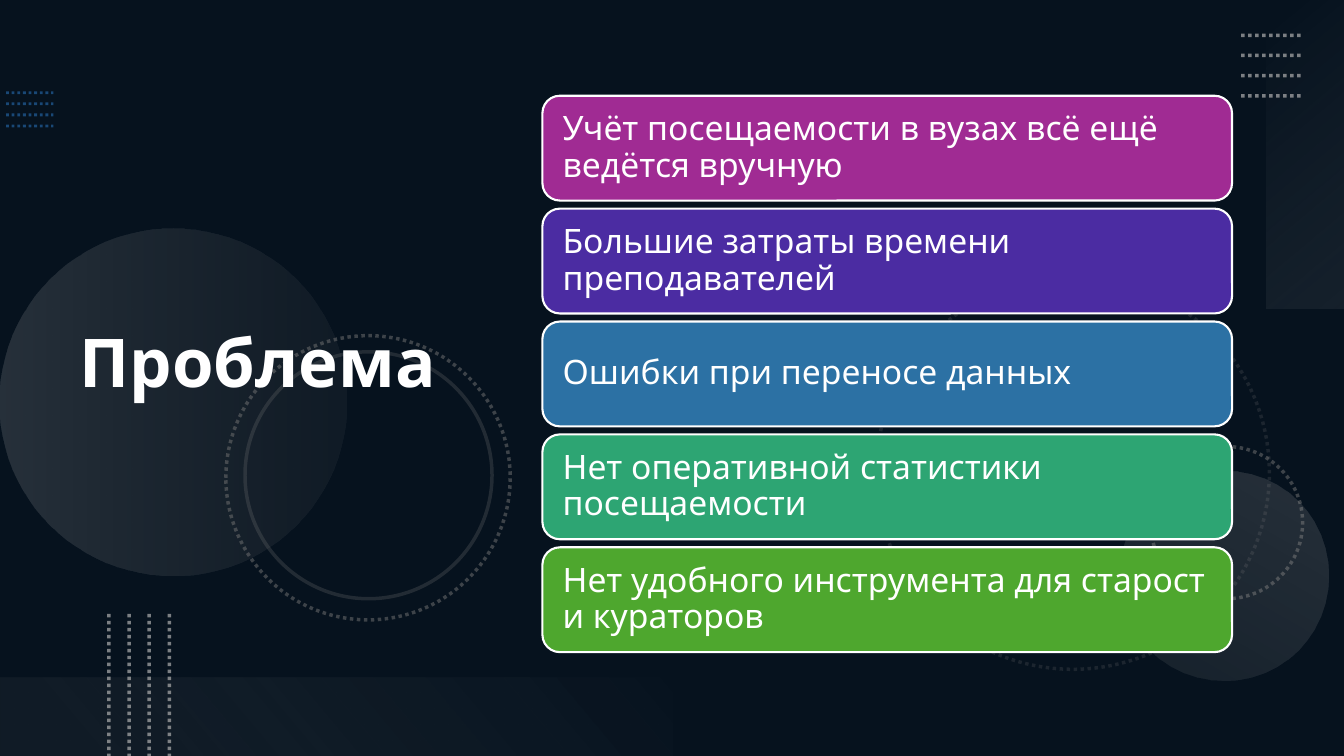
from lxml import etree
from pptx import Presentation
from pptx.dml.color import RGBColor
from pptx.enum.dml import MSO_LINE
from pptx.enum.shapes import MSO_CONNECTOR, MSO_SHAPE
from pptx.enum.text import MSO_ANCHOR, PP_ALIGN
from pptx.oxml.ns import qn
from pptx.util import Inches, Pt

# Content
FONT = "Noto Sans"
WHITE, GREY, SILVER, BLUE = "FFFFFF", "747474", "AEAEAE", "2D7FCF"
BACKDROP, VEIL, VEIL_OPACITY = "0E2841", "000000", 53
TITLE = "Проблема"
PROBLEMS = [
    ("Учёт посещаемости в вузах всё ещё ведётся вручную", "A02B93"),
    ("Большие затраты времени преподавателей", "4B2CA2"),
    ("Ошибки при переносе данных", "2C71A4"),
    ("Нет оперативной статистики посещаемости", "2DA573"),
    ("Нет удобного инструмента для старост и кураторов", "4EA72E"),
]

# Layout, in inches
WIDTH, HEIGHT = 13.33, 7.5
TITLE_BOX = (0.69, 0.54, 4.59, 6.17)
CARD_LEFT, CARD_TOP, CARD_WIDTH, CARD_HEIGHT, CARD_PITCH = 5.38, 0.95, 6.84, 1.04, 1.12

# Dotted rows: first start, first end, step, colour, width, opacity
DOT_ROWS = {
    "left": ((0.06, 0.92), (0.53, 0.92), (0, 0.11), BLUE, 2, 50),
    "right": ((12.31, 0.35), (12.91, 0.35), (0, 0.2), SILVER, 2.5, 70),
    "bottom": ((1.08, 6.09), (1.08, 7.5), (0.2, 0), SILVER, 2.5, 70),
}
DOT_ROW_COUNT = 4

# Rings: left, top, diameter, dotted, opacity
RINGS = [
    (8.69, 2.74, 3.9, True, 20),
    (11.41, 4.43, 1.51, True, 50),
    (2.24, 3.33, 2.82, True, 50),
    (2.43, 3.49, 2.45, False, 25),
]

# Glows: form, box, rotation, angle, stops of (position, colour, opacity)
DISC, BAND = MSO_SHAPE.OVAL, MSO_SHAPE.RECTANGLE
DISCS = [
    (DISC, (0, 2.27, 3.44, 3.44), 270, 90, [(0, SILVER, 20), (1, GREY, 10)]),
    (DISC, (11.1, 4.67, 2.08, 2.08), 210, 90, [(0, SILVER, 10), (1, SILVER, 20)]),
]
BANDS = [
    (BAND, (11.42, 1.14, 3.06, 0.78), 270, 140, [(0, "F6F6F6", 0), (1, SILVER, 10)]),
    (BAND, (0, 6.72, 6.67, 0.78), 180, 140, [(0.1, GREY, 10), (1, "F1F1F1", 0)]),
]


def rgb(value):
    return RGBColor.from_string(value)


def set_opacity(part, *percents):
    """Give the part's colours, in order, their opacity."""
    for colour, percent in zip(part._element.spPr.iter(qn("a:srgbClr")), percents):
        etree.SubElement(colour, qn("a:alpha")).set("val", str(percent * 1000))


def add_form(slide, form, box):
    shape = slide.shapes.add_shape(form, *map(Inches, box))
    shape.shadow.inherit = False
    return shape


def add_glow(slide, form, box, rotation, angle, stops):
    glow = add_form(slide, form, box)
    glow.rotation = rotation
    glow.line.fill.background()
    glow.fill.gradient()
    glow.fill.gradient_angle = 360 - angle
    for stop, (position, colour, _) in zip(glow.fill.gradient_stops, stops):
        stop.position = position
        stop.color.rgb = rgb(colour)
    set_opacity(glow, *(opacity for _, _, opacity in stops))


def set_stroke(part, colour, width, dotted, opacity):
    part.line.color.rgb = rgb(colour)
    part.line.width = Pt(width)
    if dotted:
        part.line.dash_style = MSO_LINE.ROUND_DOT
    set_opacity(part, opacity)


def add_ring(slide, left, top, diameter, dotted, opacity):
    ring = add_form(slide, MSO_SHAPE.OVAL, (left, top, diameter, diameter))
    ring.fill.background()
    set_stroke(ring, GREY, 2.5, dotted, opacity)


def add_dot_rows(slide, start, end, step, colour, width, opacity):
    for row in range(DOT_ROW_COUNT):
        ends = [at + row * move for point in (start, end) for at, move in zip(point, step)]
        dots = slide.shapes.add_connector(MSO_CONNECTOR.STRAIGHT, *map(Inches, ends))
        etree.SubElement(dots._element.spPr, qn("a:effectLst"))
        set_stroke(dots, colour, width, True, opacity)


def write(frame, text, size, bold, inset):
    frame.word_wrap = True
    frame.vertical_anchor = MSO_ANCHOR.MIDDLE
    frame.margin_left = frame.margin_right = Inches(inset)
    paragraph = frame.paragraphs[0]
    paragraph.text = text
    paragraph.alignment = PP_ALIGN.LEFT
    paragraph.line_spacing = 0.9
    font = paragraph.font
    font.name, font.size, font.bold = FONT, Pt(size), bold
    font.color.rgb = rgb(WHITE)


def main():
    deck = Presentation()
    deck.slide_width, deck.slide_height = Inches(WIDTH), Inches(HEIGHT)
    slide = deck.slides.add_slide(deck.slide_layouts[6])

    # Darkened background
    slide.background.fill.solid()
    slide.background.fill.fore_color.rgb = rgb(BACKDROP)
    veil = add_form(slide, MSO_SHAPE.RECTANGLE, (0, 0, WIDTH, HEIGHT))
    veil.fill.solid()
    veil.fill.fore_color.rgb = rgb(VEIL)
    veil.line.fill.background()
    set_opacity(veil, VEIL_OPACITY)

    # Decoration, back to front
    add_dot_rows(slide, *DOT_ROWS["left"])
    for ring in RINGS[:2]:
        add_ring(slide, *ring)
    for disc in DISCS:
        add_glow(slide, *disc)
    for ring in RINGS[2:]:
        add_ring(slide, *ring)
    for band, rows in zip(BANDS, ("right", "bottom")):
        add_glow(slide, *band)
        add_dot_rows(slide, *DOT_ROWS[rows])

    # Title
    title = slide.shapes.add_textbox(*map(Inches, TITLE_BOX))
    write(title.text_frame, TITLE, 48, True, 0.1)

    # Problem cards
    for row, (problem, colour) in enumerate(PROBLEMS):
        top = CARD_TOP + row * CARD_PITCH
        card = add_form(slide, MSO_SHAPE.ROUNDED_RECTANGLE,
                        (CARD_LEFT, top, CARD_WIDTH, CARD_HEIGHT))
        card.fill.solid()
        card.fill.fore_color.rgb = rgb(colour)
        card.line.color.rgb = rgb(WHITE)
        card.line.width = Pt(1.5)
        write(card.text_frame, problem, 24, False, 0.15)

    deck.save("out.pptx")


if __name__ == "__main__":
    main()
